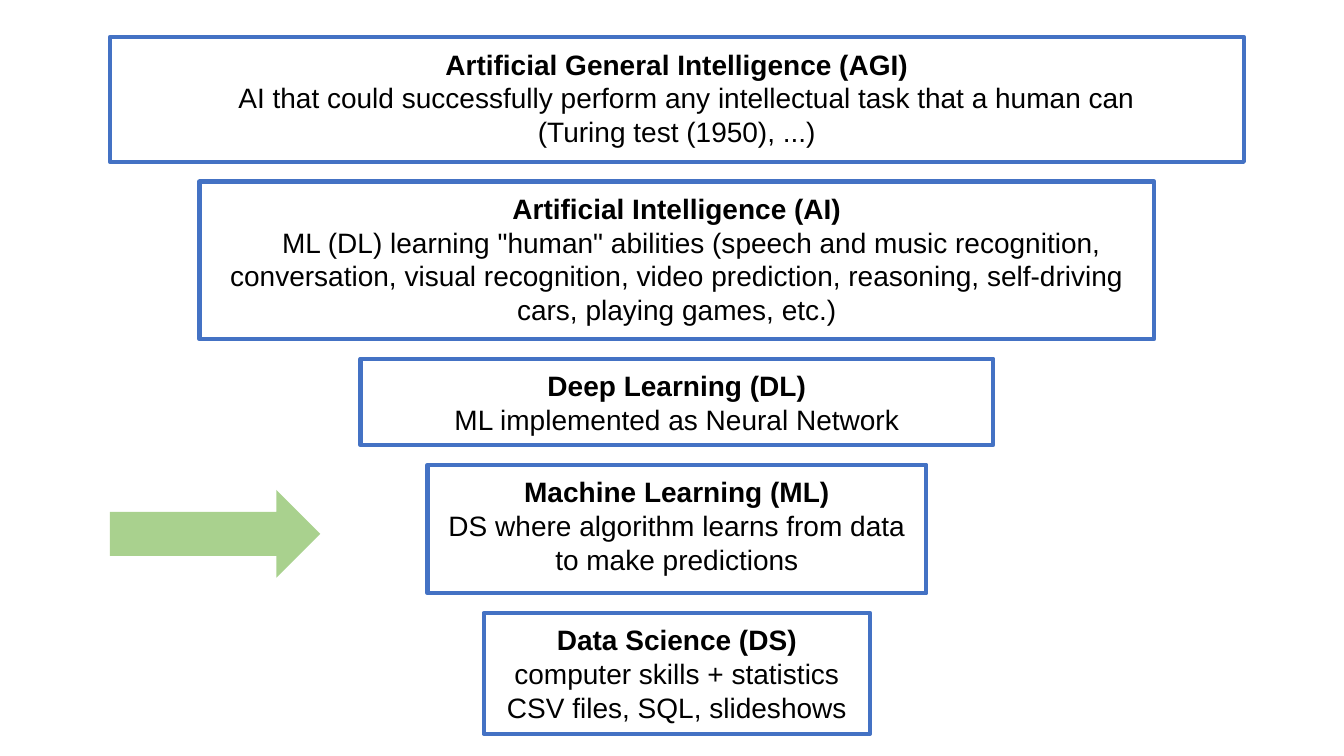
from dataclasses import dataclass

from lxml import etree
from pptx import Presentation
from pptx.dml.color import RGBColor
from pptx.enum.shapes import MSO_SHAPE
from pptx.enum.text import MSO_ANCHOR, PP_ALIGN
from pptx.oxml.ns import qn
from pptx.util import Pt

RECT = MSO_SHAPE.RECTANGLE
ARROW = MSO_SHAPE.RIGHT_ARROW
TOP = MSO_ANCHOR.TOP
CENTER = PP_ALIGN.CENTER

# Layout of the stack, in points
MID = 483.5
START = 26.4
GAP = 14
INSET = 7.2


@dataclass
class Level:
    title: str
    lines: list[str]
    width: float
    height: float
    indent: float = 0  # first-line indent of the first body line


LEVELS = [
    Level("Artificial General Intelligence (AGI)",
          ["AI that could successfully perform any intellectual task that a human can",
           "(Turing test (1950), ...)"], 810, 89.3, 14),
    Level("Artificial Intelligence (AI)",
          ['ML (DL) learning "human" abilities (speech and music recognition, '
           "conversation, visual recognition, video prediction, reasoning, "
           "self-driving cars, playing games, etc.)"], 682, 112.5, 21),
    Level("Deep Learning (DL)", ["ML implemented as Neural Network"], 452, 61.8),
    Level("Machine Learning (ML)",
          ["DS where algorithm learns from data to make predictions"], 356.4, 91.8),
    Level("Data Science (DS)",
          ["computer skills + statistics", "CSV files, SQL, slideshows"], 276, 86.4),
]


def color(code: str) -> RGBColor:
    return RGBColor.from_string(code)


def write(para, text: str, bold: bool) -> None:
    para.alignment = CENTER
    run = para.add_run()
    run.text = text
    font = run.font
    font.name = "Arial"
    font.size = Pt(20)
    font.bold = bold
    font.color.rgb = color("000000")


def draw_level(slide, level: Level, top: float) -> None:
    box = slide.shapes.add_shape(RECT, Pt(MID - level.width / 2), Pt(top),
                                 Pt(level.width), Pt(level.height))
    box.shadow.inherit = False
    box.fill.background()
    box.line.color.rgb = color("4472C4")
    box.line.width = Pt(3)
    # Rounded corners on the outline
    etree.SubElement(box.line._get_or_add_ln(), qn("a:round"))

    frame = box.text_frame
    frame.word_wrap = True
    frame.vertical_anchor = TOP
    frame.margin_left = frame.margin_right = Pt(INSET)
    frame.margin_top = frame.margin_bottom = Pt(INSET)
    write(frame.paragraphs[0], level.title, True)
    for row, text in enumerate(level.lines):
        para = frame.add_paragraph()
        if row == 0 and level.indent:
            props = para._p.get_or_add_pPr()
            props.set("marL", "0")
            props.set("indent", str(Pt(level.indent)))
        write(para, text, False)


def draw_arrow(slide) -> None:
    arrow = slide.shapes.add_shape(ARROW, Pt(78.5), Pt(350), Pt(150.3), Pt(62.7))
    arrow.shadow.inherit = False
    arrow.fill.solid()
    arrow.fill.fore_color.rgb = color("A9D18E")
    arrow.line.fill.background()


def main() -> None:
    deck = Presentation()
    deck.slide_width, deck.slide_height = Pt(960), Pt(540)
    slide = deck.slides.add_slide(deck.slide_layouts[6])

    # Stack of levels, from widest to narrowest
    top = START
    for level in LEVELS:
        draw_level(slide, level, top)
        top += level.height + GAP

    # Pointer to the machine learning level
    draw_arrow(slide)
    deck.save("out.pptx")


if __name__ == "__main__":
    main()
